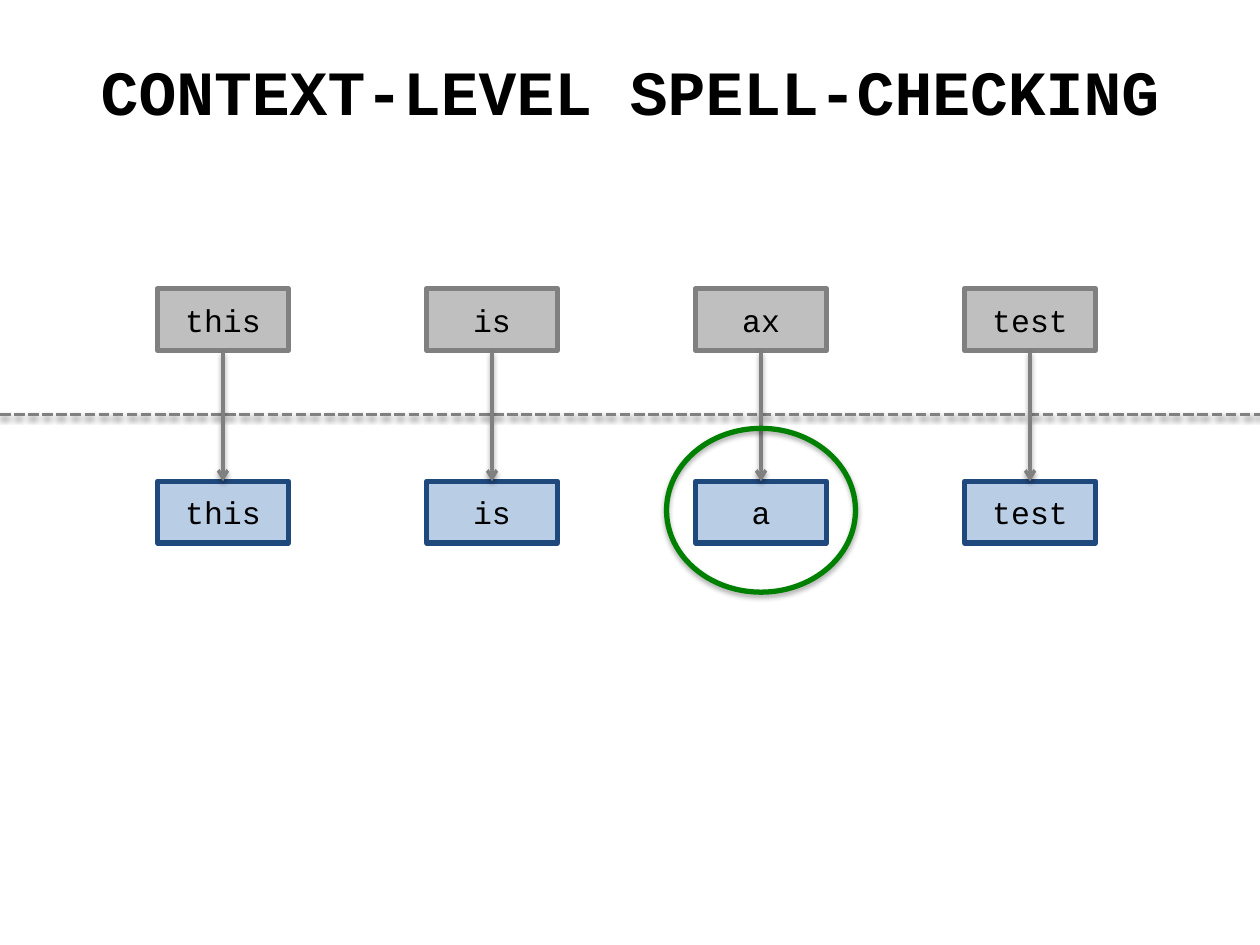
"""Build a slide that pairs typed words with their corrections."""
from lxml.etree import SubElement
from pptx import Presentation
from pptx.dml.color import RGBColor
from pptx.enum.dml import MSO_LINE
from pptx.enum.shapes import MSO_CONNECTOR, MSO_SHAPE
from pptx.enum.text import MSO_ANCHOR, PP_ALIGN
from pptx.oxml import parse_xml
from pptx.oxml.ns import nsdecls, qn
from pptx.util import Inches, Pt


def paint(color, hue):
    color.rgb = RGBColor.from_string(hue)


def shade(shape, alpha):
    shape._element.spPr.append(parse_xml(
        f'<a:effectLst {nsdecls("a")}><a:outerShdw blurRad="39370" dist="20320" '
        'dir="5400000" rotWithShape="0"><a:srgbClr val="000000">'
        f'<a:alpha val="{alpha}000"/></a:srgbClr></a:outerShdw></a:effectLst>'))


deck = Presentation()
deck.slide_width, deck.slide_height = Inches(10), Inches(7.5)
slide = deck.slides.add_slide(deck.slide_layouts[6])
shapes = slide.shapes

title = shapes.add_textbox(Inches(0), Inches(0.37), Inches(10), Inches(0.71))
title.text_frame.word_wrap = True
para = title.text_frame.paragraphs[0]
para.text = "CONTEXT-LEVEL SPELL-CHECKING"
para.alignment = PP_ALIGN.CENTER
para.font.name, para.font.size, para.font.bold = "Courier New", Pt(36), True
paint(para.font.color, "000000")

left, step, wide, high = 1.25, 2.135, 1.04, 0.49
rows = [
    (2.29, "BFBFBF", "808080", ["this", "is", "ax", "test"]),
    (3.82, "B9CDE5", "1F497D", ["this", "is", "a", "test"]),
]
for top, fill, edge, words in rows:
    for col, word in enumerate(words):
        box = shapes.add_shape(MSO_SHAPE.RECTANGLE, Inches(left + col * step),
                               Inches(top), Inches(wide), Inches(high))
        box.shadow.inherit = False
        box.fill.solid()
        paint(box.fill.fore_color, fill)
        paint(box.line.color, edge)
        box.line.width = Pt(3)
        frame = box.text_frame
        frame.word_wrap = False
        frame.vertical_anchor = MSO_ANCHOR.MIDDLE
        para = frame.paragraphs[0]
        para.text = word
        para.alignment = PP_ALIGN.CENTER
        para.font.name, para.font.size = "Courier New", Pt(18)
        paint(para.font.color, "000000")

lines = [(0, 3.29, 10, 3.29)]
for col in range(4):
    mid = left + wide / 2 + col * step
    lines.append((mid, 2.79, mid, 3.82))
for ends in lines:
    line = shapes.add_connector(MSO_CONNECTOR.STRAIGHT, *map(Inches, ends))
    paint(line.line.color, "808080")
    line.line.width = Pt(2)
    if ends[0] == ends[2]:
        SubElement(line.line._get_or_add_ln(), qn("a:tailEnd"), type="arrow")
    else:
        line.line.dash_style = MSO_LINE.SQUARE_DOT
    shade(line, 38)

ring = shapes.add_shape(MSO_SHAPE.OVAL, Inches(5.29), Inches(3.4), Inches(1.5), Inches(1.3))
ring.fill.background()
paint(ring.line.color, "008000")
ring.line.width = Pt(3)
shade(ring, 35)

deck.save("out.pptx")
